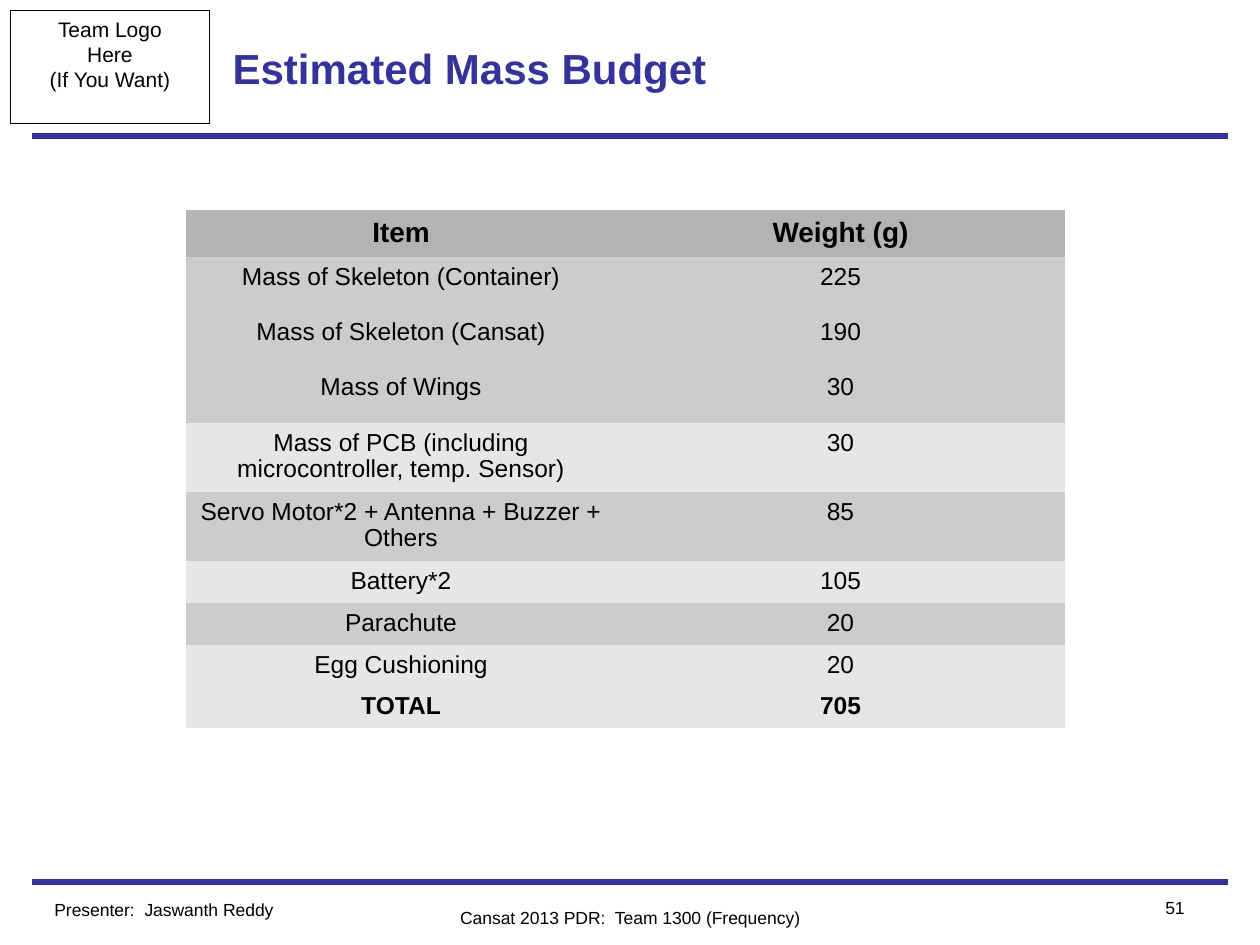
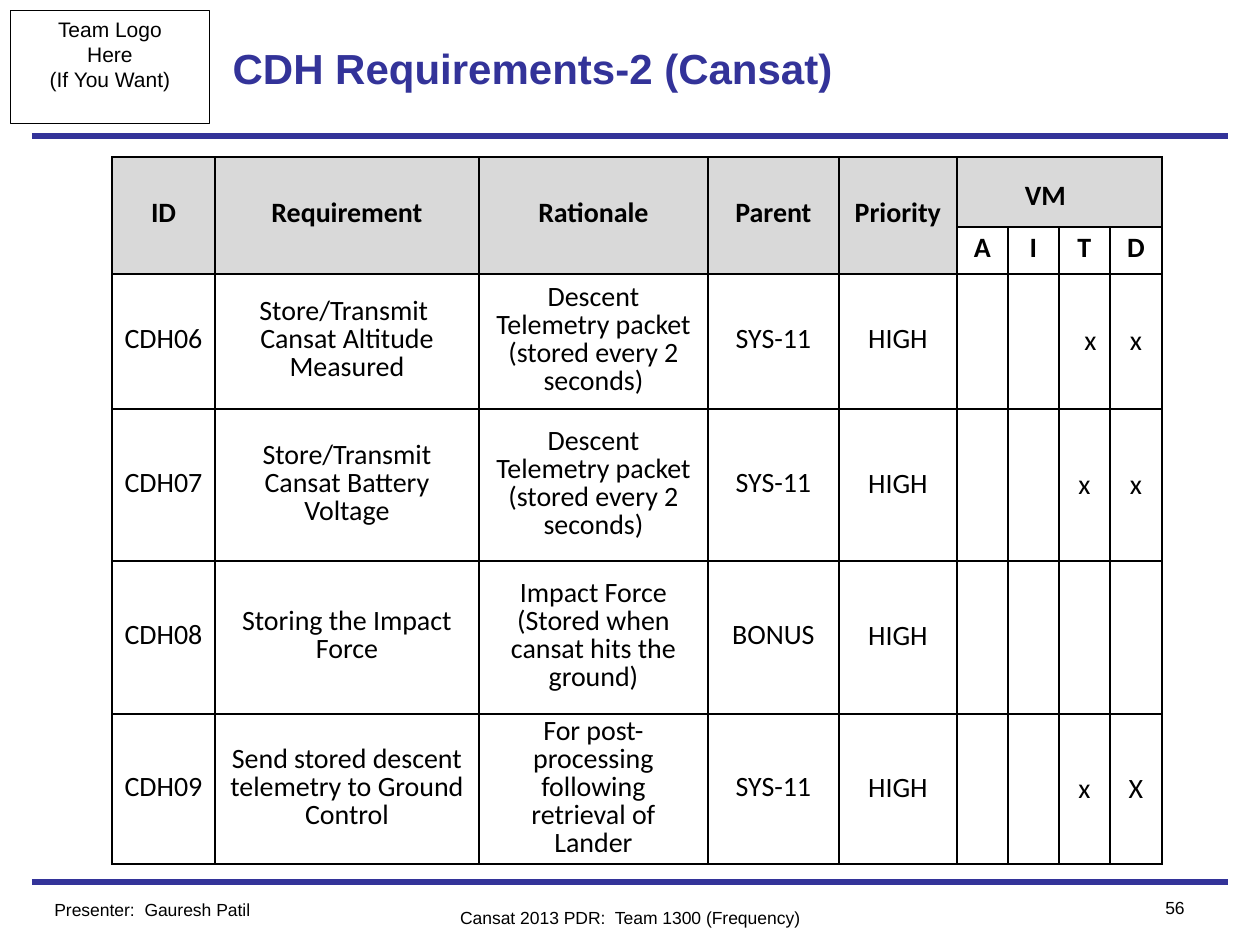
from dataclasses import dataclass

from lxml.etree import SubElement
from pptx import Presentation
from pptx.dml.color import RGBColor
from pptx.enum.shapes import MSO_CONNECTOR, MSO_SHAPE
from pptx.enum.text import MSO_ANCHOR, MSO_AUTO_SIZE, PP_ALIGN
from pptx.oxml.ns import qn
from pptx.util import Emu, Pt


@dataclass(frozen=True)
class Theme:
    blue: RGBColor = RGBColor(0x33, 0x33, 0x99)
    black: RGBColor = RGBColor(0, 0, 0)
    white: RGBColor = RGBColor(0xFF, 0xFF, 0xFF)
    mass_header: RGBColor = RGBColor(0xB3, 0xB3, 0xB3)
    mass_dark: RGBColor = RGBColor(0xCC, 0xCC, 0xCC)
    mass_light: RGBColor = RGBColor(0xE6, 0xE6, 0xE6)
    requirement_header: RGBColor = RGBColor(0xD9, 0xD9, 0xD9)
    title_size: Pt = Pt(24)
    header_size: Pt = Pt(16)
    body_size: Pt = Pt(14)
    logo_size: Pt = Pt(12)
    footer_size: Pt = Pt(10)


theme = Theme()


def px(length):
    return Emu(round(length * 914400 / 126))


def write(text_frame, text, alignment, line_spacing=1.0, **font_values):
    text_frame.text = text
    font_format = {"name": "Arial", "bold": False, **font_values}
    color = font_format.pop("color", theme.black)
    for paragraph in text_frame.paragraphs:
        paragraph.alignment = alignment
        paragraph.line_spacing = line_spacing
        for attribute, value in font_format.items():
            setattr(paragraph.font, attribute, value)
        paragraph.font.color.rgb = color


presentation = Presentation()
presentation.slide_width = px(1260)
presentation.slide_height = px(945)

slide_texts = [
    ("Estimated Mass Budget", "51", "Presenter:  Jaswanth Reddy"),
    ("CDH Requirements-2 (Cansat)", "56", "Presenter:  Gauresh Patil"),
]

for title_text, page_number, presenter in slide_texts:
    slide = presentation.slides.add_slide(presentation.slide_layouts[5])

    for rule_top in (882, 136):
        rule = slide.shapes.add_connector(
            MSO_CONNECTOR.STRAIGHT, px(32), px(rule_top), px(1228), px(rule_top)
        )
        rule.line.color.rgb = theme.blue
        rule.line.width = Pt(3)
        SubElement(rule._element.spPr, qn("a:effectLst"))

    logo_box = slide.shapes.add_shape(
        MSO_SHAPE.RECTANGLE, px(10), px(10), px(200), px(114)
    )
    logo_box.shadow.inherit = False
    logo_box.fill.background()
    logo_box.line.color.rgb = theme.black
    logo_box.line.width = Pt(0.5)
    logo_box.text_frame.word_wrap = False
    logo_box.text_frame.vertical_anchor = MSO_ANCHOR.TOP
    write(
        logo_box.text_frame, "Team Logo\nHere\n(If You Want)",
        PP_ALIGN.CENTER, size=theme.logo_size,
    )

    title = slide.shapes.title
    title_place = {"left": 220, "top": 10, "width": 820, "height": 116}
    for attribute, value in title_place.items():
        setattr(title, attribute, px(value))
    title.text_frame.auto_size = MSO_AUTO_SIZE.NONE
    title.text_frame.vertical_anchor = MSO_ANCHOR.MIDDLE
    write(
        title.text_frame, title_text, PP_ALIGN.LEFT,
        size=theme.title_size, bold=True, color=theme.blue,
    )

    footers = [
        (page_number, 1102, 891, 95, PP_ALIGN.RIGHT),
        ("Cansat 2013 PDR:  Team 1300 (Frequency)", 378, 901, 504, PP_ALIGN.CENTER),
        (presenter, 42, 893, 315, PP_ALIGN.LEFT),
    ]
    for text, left, top, width, alignment in footers:
        footer = slide.shapes.add_textbox(px(left), px(top), px(width), px(34))
        footer.text_frame.word_wrap = True
        write(footer.text_frame, text, alignment, size=theme.footer_size)

mass_slide, requirement_slide = presentation.slides

mass_rows = [
    ("Item", "Weight (g)", 44, theme.mass_header),
    ("Mass of Skeleton (Container)", "225", 56, theme.mass_dark),
    ("Mass of Skeleton (Cansat)", "190", 55, theme.mass_dark),
    ("Mass of Wings", "30", 56, theme.mass_dark),
    ("Mass of PCB (including microcontroller, temp. Sensor)", "30", 66, theme.mass_light),
    ("Servo Motor*2 + Antenna + Buzzer + Others", "85", 65, theme.mass_dark),
    ("Battery*2", "105", 40, theme.mass_light),
    ("Parachute", "20", 40, theme.mass_dark),
    ("Egg Cushioning", "20", 40, theme.mass_light),
    ("TOTAL", "705", 40, theme.mass_light),
]
mass_widths = [430, 449]
mass_heights = [row[2] for row in mass_rows]
mass_table = mass_slide.shapes.add_table(
    len(mass_rows), 2, px(186), px(210), px(sum(mass_widths)), px(sum(mass_heights))
).table

for row_index, (item, weight, height, fill_color) in enumerate(mass_rows):
    is_header = row_index == 0
    for column_index, text in enumerate((item, weight)):
        cell = mass_table.cell(row_index, column_index)
        cell.fill.solid()
        cell.fill.fore_color.rgb = fill_color
        cell.margin_top = px(9 if is_header else 8)
        write(
            cell.text_frame, text, PP_ALIGN.CENTER, 0.93,
            size=theme.header_size if is_header else theme.body_size,
            bold=is_header or item == "TOTAL",
        )

requirement_rows = [
    ("ID", "Requirement", "Rationale", "Parent", "Priority", "VM", "", "", ""),
    ("", "", "", "", "", "A", "I", "T", "D"),
    ("CDH06", "Store/Transmit  Cansat Altitude Measured",
     "Descent Telemetry packet (stored every 2 seconds)", "SYS-11", "HIGH", "", "", "x", "x"),
    ("CDH07", "Store/Transmit Cansat Battery Voltage",
     "Descent Telemetry packet (stored every 2 seconds)", "SYS-11", "HIGH", "", "", "x", "x"),
    ("CDH08", "Storing the Impact Force",
     "Impact Force (Stored when cansat hits the ground)", "BONUS", "HIGH", "", "", "", ""),
    ("CDH09", "Send stored descent telemetry to Ground Control",
     "For post-processing following retrieval of Lander", "SYS-11", "HIGH", "", "", "x", "X"),
]
requirement_widths = [103, 264, 229, 131, 118, 51, 51, 51, 52]
requirement_heights = [70, 47, 135, 152, 153, 150]
requirement_table = requirement_slide.shapes.add_table(
    len(requirement_rows), len(requirement_widths), px(112), px(157),
    px(sum(requirement_widths)), px(sum(requirement_heights)),
).table

for row_index, row in enumerate(requirement_rows):
    for column_index, text in enumerate(row):
        cell = requirement_table.cell(row_index, column_index)
        is_mark = row_index > 1 and column_index > 4
        cell.vertical_anchor = MSO_ANCHOR.MIDDLE
        cell.margin_top = px(6 if is_mark else 4)
        if row_index == 0 or (row_index == 1 and column_index < 5):
            cell.fill.solid()
            cell.fill.fore_color.rgb = theme.requirement_header
        else:
            cell.fill.background()
        if text:
            line_spacing = 1.0 if is_mark else 0.82
            if text == "HIGH" and row_index > 2:
                line_spacing = 0.93
            write(
                cell.text_frame, text, PP_ALIGN.CENTER, line_spacing,
                name="Calibri", size=theme.header_size, bold=row_index < 2,
            )

for column_index in range(5):
    requirement_table.cell(0, column_index).merge(requirement_table.cell(1, column_index))

method_cell = requirement_table.cell(0, 5)
method_cell.merge(requirement_table.cell(0, 8))
method_cell.margin_left = px(68)
method_cell.margin_top = px(14)
method_cell.text_frame.paragraphs[0].alignment = PP_ALIGN.LEFT
method_cell.text_frame.paragraphs[0].line_spacing = 1.0

shifted_mark = requirement_table.cell(2, 7)
shifted_mark.margin_left = px(19)
shifted_mark.margin_right = px(7)

table_formats = [
    (mass_table, mass_widths, mass_heights, theme.white, Pt(0.03)),
    (requirement_table, requirement_widths, requirement_heights, theme.black, Pt(1)),
]
for table, widths, heights, border_color, border_width in table_formats:
    table.first_row = False
    table.horz_banding = False
    for column, width in zip(table.columns, widths):
        column.width = px(width)
    for row, height in zip(table.rows, heights):
        row.height = px(height)
    for cell in table.iter_cells():
        cell_properties = cell._tc.get_or_add_tcPr()
        for position, side in enumerate(("lnL", "lnR", "lnT", "lnB")):
            border = SubElement(cell_properties, qn(f"a:{side}"), w=str(border_width))
            border_fill = SubElement(border, qn("a:solidFill"))
            SubElement(border_fill, qn("a:srgbClr"), val=str(border_color))
            cell_properties.insert(position, border)

presentation.save("out.pptx")
